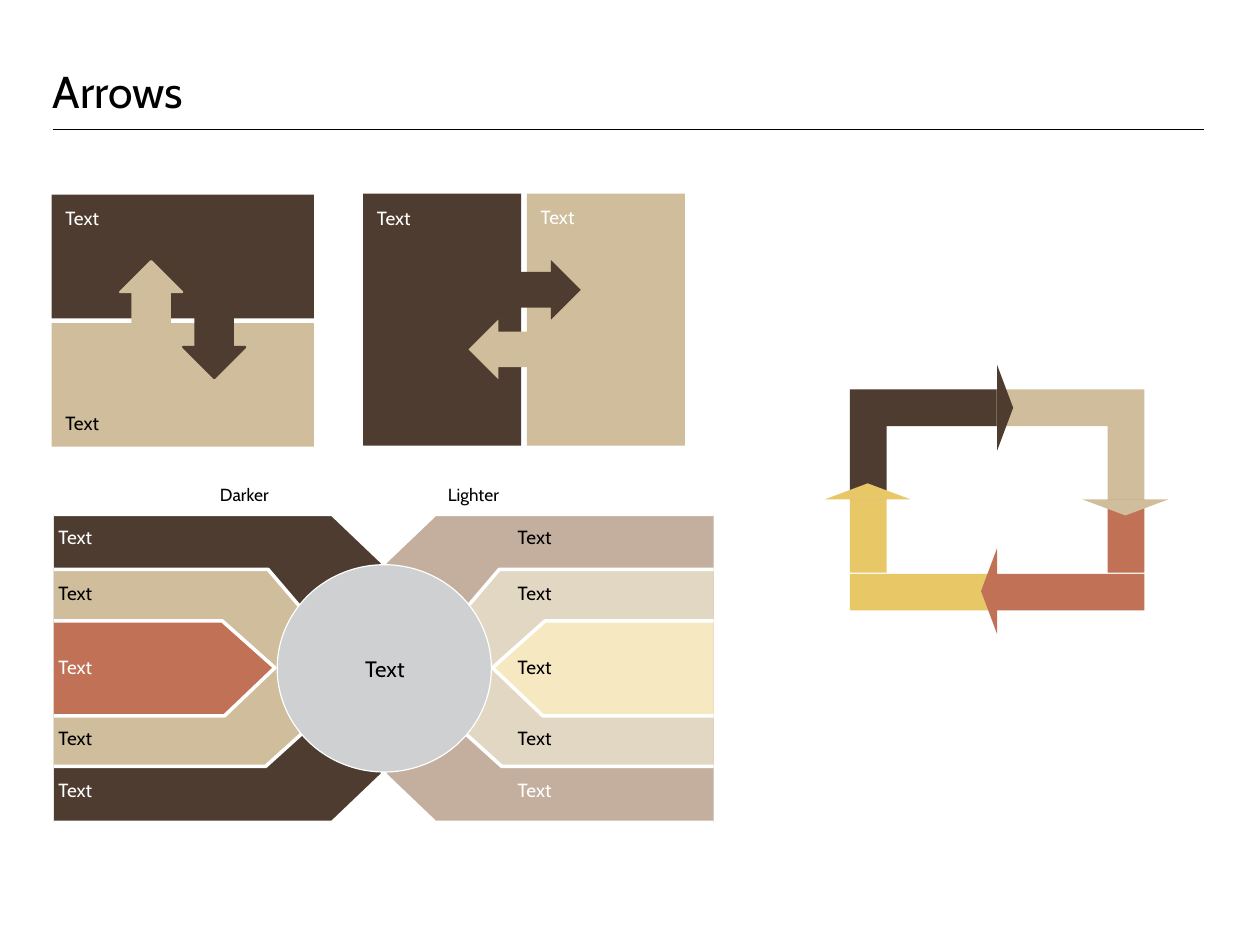
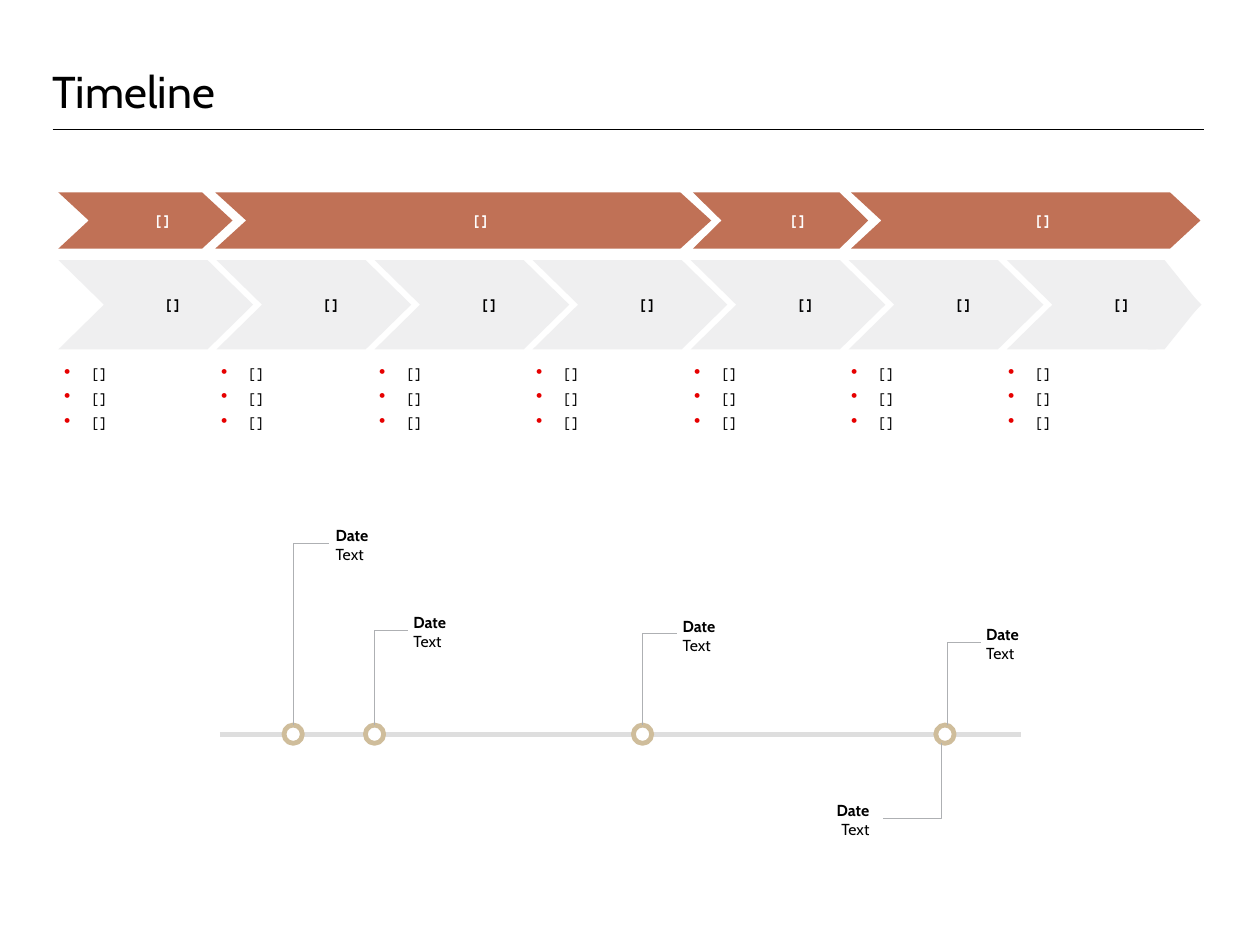
"""Builds an arrows slide and a timeline slide."""
import pptx
import pptx.util
import pptx.dml.color
import pptx.enum.shapes
import pptx.enum.text
import pptx.oxml.ns
from lxml import etree

PX = 9144
FONT = "Cabin"
BLACK, WHITE = "000000", "FFFFFF"
BROWN, SAND, RUST, GOLD = "4D3C2F", "CFBD9B", "C07156", "E8C767"
GREY, SILVER, RAIL, STEM, RED = "EFEFF0", "CED0D1", "DEDEDE", "AEB0B3", "E60000"
MSO = pptx.enum.shapes.MSO_SHAPE
CONN = pptx.enum.shapes.MSO_CONNECTOR
ALIGN = pptx.enum.text.PP_ALIGN
ANCHOR = pptx.enum.text.MSO_ANCHOR

SWAP_PANELS = [
    ((45, 282, 229, 108), SAND), ((45, 170, 229, 108), BROWN),
    ((460, 169, 138, 220), SAND), ((317, 169, 138, 220), BROWN),
]
SWAP_ARROWS = [
    (MSO.DOWN_ARROW, (160, 276, 54, 54), BROWN, 1.5),
    (MSO.UP_ARROW, (105, 228, 54, 54), SAND, 1.5),
    (MSO.LEFT_ARROW, (409, 279, 52, 52), SAND, 0),
    (MSO.RIGHT_ARROW, (455, 227, 52, 52), BROWN, 0),
]
SWAP_LABELS = [
    ((45, 170, 99, 56), WHITE, ANCHOR.TOP), ((45, 333, 99, 56), BLACK, ANCHOR.BOTTOM),
    ((317, 170, 95, 54), WHITE, ANCHOR.TOP), ((460, 169, 95, 54), WHITE, ANCHOR.TOP),
]
MIRROR = 670
FUNNEL = [
    ([(47, 449), (290, 449), (334, 491), (334, 676), (290, 718), (47, 718)], BROWN, "C4AF9F"),
    ([(47, 497), (234, 497), (263, 531), (263, 641), (232, 669), (47, 669)], SAND, "E2D7C3"),
    ([(47, 542), (194, 542), (240, 583), (196, 625), (47, 625)], RUST, "F6E9C2"),
]
FUNNEL_LABELS = [
    (459, WHITE, BLACK), (508, BLACK, BLACK), (572, WHITE, BLACK),
    (634, BLACK, BLACK), (680, WHITE, WHITE),
]
CYCLE_BARS = [
    ((742, 340, 129, 32), BROWN), ((870, 340, 129, 32), SAND),
    ((742, 501, 129, 32), GOLD), ((870, 501, 129, 32), RUST),
    ((967, 372, 32, 64), SAND), ((967, 436, 32, 64), RUST),
    ((742, 372, 32, 64), BROWN), ((742, 436, 32, 64), GOLD),
]
CYCLE_HEADS = [
    ((840, 349, 75, 14), 90, BROWN), ((945, 436, 75, 14), 180, SAND),
    ((826, 509, 75, 14), 270, RUST), ((720, 422, 75, 14), 0, GOLD),
]

BLANK = "[ ]"
PHASES = [(51, 152, 0.54), (188, 433, 0.55), (605, 153, 0.51), (743, 305, 0.54)]
STEPS = 7
DOTS = [256, 327, 561, 825]
EVENTS = [
    ((256, 633), (287, 474), (293, 459), ALIGN.LEFT),
    ((327, 633), (356, 550), (361, 535), ALIGN.LEFT),
    ((561, 633), (591, 553), (596, 538), ALIGN.LEFT),
    ((822, 649), (771, 714), (636, 699), ALIGN.RIGHT),
    ((827, 633), (856, 561), (861, 545), ALIGN.LEFT),
]


def emu(*lengths):
    return [int(v * PX) for v in lengths]


def rgb(value):
    return pptx.dml.color.RGBColor.from_string(value)


def paint(sp, fill, line=None, width=0):
    sp.shadow.inherit = False
    sp.fill.solid()
    sp.fill.fore_color.rgb = rgb(fill)
    if width:
        sp.line.color.rgb = rgb(line)
        sp.line.width = pptx.util.Pt(width)
    else:
        sp.line.fill.background()
    return sp


def shape(s, kind, box, fill, line=None, width=0, adj=(), rotation=0):
    sp = paint(s.shapes.add_shape(kind, *emu(*box)), fill, line, width)
    for i, value in enumerate(adj):
        sp.adjustments[i] = value
    sp.rotation = rotation
    return sp


def write(sp, lines, size, color=BLACK, align=ALIGN.LEFT, anchor=ANCHOR.TOP,
          inset=(0, 0, 0, 0), bold=()):
    tf = sp.text_frame
    tf.word_wrap = True
    tf.vertical_anchor = anchor
    tf.margin_left, tf.margin_top, tf.margin_right, tf.margin_bottom = emu(*inset)
    tf.text = "\n".join(lines)
    for i, p in enumerate(tf.paragraphs):
        p.alignment = align
        p.font.name = FONT
        p.font.size = pptx.util.Pt(size)
        p.font.bold = i in bold
        p.font.color.rgb = rgb(color)
    return tf


def label(s, box, lines, size, *args, **kwargs):
    return write(s.shapes.add_textbox(*emu(*box)), lines, size, *args, **kwargs)


def line(s, kind, start, end, color, width):
    c = s.shapes.add_connector(kind, *emu(*start, *end))
    c.line.color.rgb = rgb(color)
    c.line.width = pptx.util.Pt(width)
    etree.SubElement(c._element.spPr, pptx.oxml.ns.qn("a:effectLst"))
    return c


def stem(s, start, end):
    (x1, y1), (x2, y2) = start, end
    cx, cy = (x1 + x2) / 2, (y1 + y2) / 2
    half_w, half_h = (y2 - y1) / 2, abs(x2 - x1) / 2
    if half_w < 0:
        half_h = -half_h
    c = line(s, CONN.ELBOW, (cx - half_w, cy - half_h), (cx + half_w, cy + half_h), STEM, 0.25)
    spPr = c._element.spPr
    spPr.find(pptx.oxml.ns.qn("a:xfrm")).set("rot", "5400000")
    spPr.find(pptx.oxml.ns.qn("a:prstGeom")).set("prst", "bentConnector2")


def add_to_ppr(p, *elements, **attributes):
    pPr = p._p.get_or_add_pPr()
    for name, value in attributes.items():
        pPr.set(name, str(value))
    at = 0
    for child in pPr:
        if child.tag != pptx.oxml.ns.qn("a:defRPr"):
            at += 1
    for xml in elements:
        tag, rest = xml.split(" ", 1)
        pPr.insert(at, etree.fromstring(f"<{tag} {pptx.oxml.ns.nsdecls('a')} {rest}"))
        at += 1


def new_slide(prs, title):
    s = prs.slides.add_slide(prs.slide_layouts[6])
    line(s, CONN.STRAIGHT, (46, 113), (1051, 113), BLACK, 0.75)
    tf = label(s, (46, 0, 1005, 103), [title], 28, anchor=ANCHOR.BOTTOM)
    tf.paragraphs[0].line_spacing = pptx.util.Pt(32)
    return s


def outline(s, points, fill):
    fb = s.shapes.build_freeform(*points[0], scale=PX)
    fb.add_line_segments(points[1:], close=False)
    paint(fb.convert_to_shape(), fill, WHITE, 2.25)


def arrows_slide(prs):
    s = new_slide(prs, "Arrows")
    for box, fill in SWAP_PANELS + CYCLE_BARS:
        shape(s, MSO.RECTANGLE, box, fill)
    for kind, box, fill, width in SWAP_ARROWS:
        shape(s, kind, box, fill, fill, width, adj=(0.6, 0.5))
    for box, color, anchor in SWAP_LABELS:
        label(s, box, ["Text"], 12, color, anchor=anchor, inset=(12, 12, 12, 12))
    for box, rotation, fill in CYCLE_HEADS:
        shape(s, MSO.ISOSCELES_TRIANGLE, box, fill, rotation=rotation)

    for points, dark, light in FUNNEL:
        outline(s, [(MIRROR - x, y) for x, y in points], light)
        outline(s, points, dark)
    shape(s, MSO.OVAL, (242, 493, 187, 181), SILVER, WHITE, 0.75)
    for y, left, right in FUNNEL_LABELS:
        label(s, (51, y, 166, 20), ["Text"], 12, left)
        label(s, (452, y, 166, 20), ["Text"], 12, right)
    label(s, (253, 572, 166, 24), ["Text"], 14, align=ALIGN.CENTER, anchor=ANCHOR.MIDDLE)
    tf = label(s, (192, 423, 293, 14), ["Darker\tLighter"], 11)
    add_to_ppr(tf.paragraphs[0], f'a:tabLst ><a:tab pos="{199 * PX}" algn="l"/></a:tabLst>')


def timeline_slide(prs):
    s = new_slide(prs, "Timeline")
    chevrons = [((x, 168, w, 49), adj, RUST, WHITE) for x, w, adj in PHASES]
    chevrons += [((51 + 138 * i, 227, 170, 78), 0.51, GREY, BLACK) for i in range(STEPS)]
    for box, adj, fill, color in chevrons:
        sp = shape(s, MSO.CHEVRON, box, fill, adj=(adj,))
        write(sp, [BLANK], 9, color, ALIGN.CENTER, ANCHOR.MIDDLE, (33, 5, 3, 5), bold=(0,))
    shape(s, MSO.CHEVRON, (1002, 227, 46, 78), GREY, adj=(0.68,))
    for i in range(STEPS):
        tf = label(s, (51 + round(137.4 * i), 314, 125, 250), [BLANK] * 3, 9, inset=(5, 5, 1, 5))
        for n, p in enumerate(tf.paragraphs):
            p.space_before = pptx.util.Pt(4.5 if n else 0)
            add_to_ppr(p, f'a:buClr ><a:srgbClr val="{RED}"/></a:buClr>',
                       'a:buSzPct val="130000"/>', 'a:buChar char="•"/>',
                       marL=25 * PX, indent=-25 * PX)

    line(s, CONN.STRAIGHT, (192, 641), (891, 641), RAIL, 3)
    for x in DOTS:
        shape(s, MSO.OVAL, (x - 8, 633, 16, 16), WHITE, SAND, 3)
    for start, end, corner, align in EVENTS:
        stem(s, start, end)
        label(s, (*corner, 123, 34), ["Date", "Text"], 10, align=align, bold=(0,))


def main():
    prs = pptx.Presentation()
    prs.slide_width, prs.slide_height = emu(1100, 825)
    arrows_slide(prs)
    timeline_slide(prs)
    prs.save("out.pptx")


if __name__ == "__main__":
    main()
